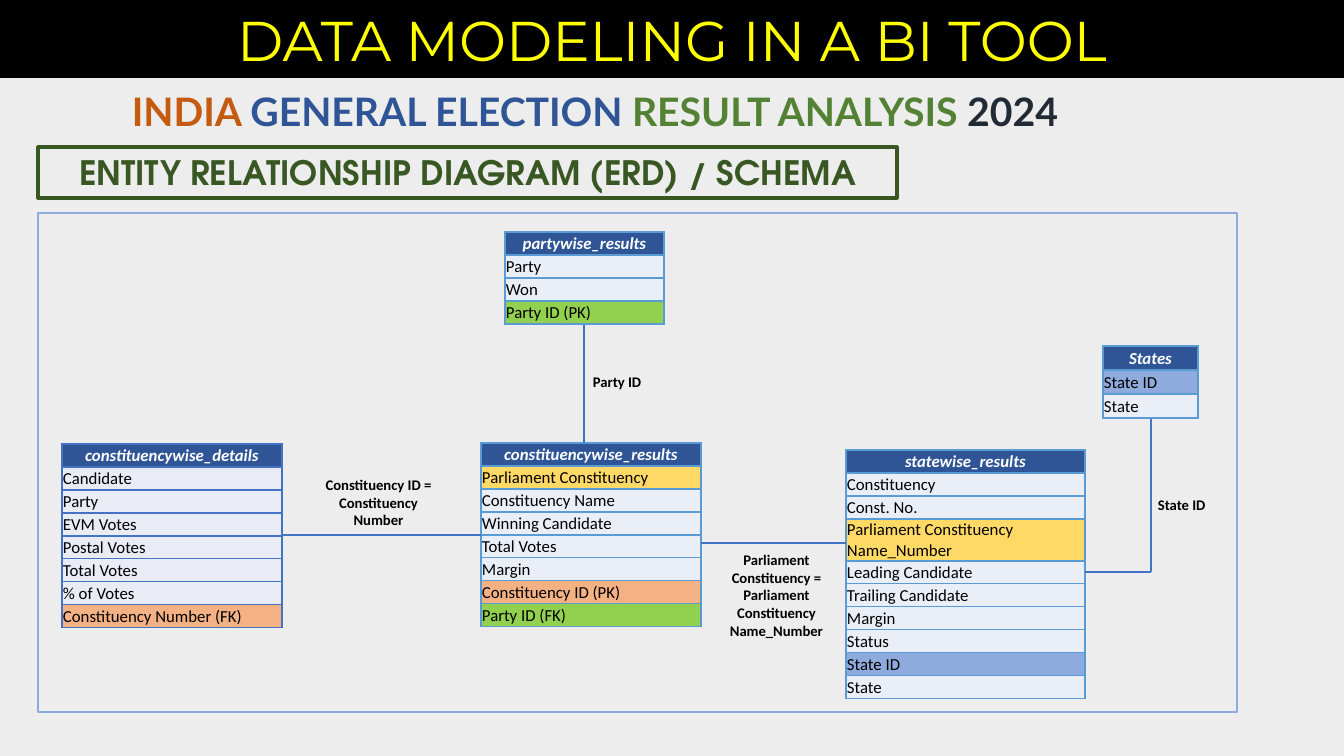
import pptx
import pptx.util
import pptx.dml.color
import pptx.enum.shapes
import pptx.enum.text
import pptx.oxml
import pptx.oxml.ns

SCALE = 914400 / 100.8  # EMU in one px
PAGE_WIDTH, PAGE_HEIGHT = 1344, 756
ROW = 23
COLOURS = {
    "page": "EDEDED", "black": "000000", "white": "FFFFFF", "yellow": "FFFF00",
    "header": "2F5597", "plain": "EAEFF7", "pale": "E9EBF5",
    "party": "92D050", "constituency": "F4B183", "parliament": "FFD966", "state": "8FAADC",
    "link": "4472C4", "border": "5B9BD5", "heading": "385723",
    "orange": "C55A11", "green": "548235", "navy": "222A35",
}
ALIGN = pptx.enum.text.PP_ALIGN
ANCHOR = pptx.enum.text.MSO_ANCHOR

# name, left, top, width, row height, border, plain fill, fields with an optional key colour
ENTITIES = [
    ("constituencywise_details", 24, 231, 220, ROW, "link", "pale", [
        ("Candidate", None), ("Party", None), ("EVM Votes", None), ("Postal Votes", None),
        ("Total Votes", None), ("% of Votes", None),
        ("Constituency Number (FK)", "constituency")]),
    ("constituencywise_results", 443, 230, 220, ROW, "border", "plain", [
        ("Parliament Constituency", "parliament"), ("Constituency Name", None),
        ("Winning Candidate", None), ("Total Votes", None), ("Margin", None),
        ("Constituency ID (PK)", "constituency"), ("Party ID (FK)", "party")]),
    ("partywise_results", 467, 19, 159, ROW, "border", "plain", [
        ("Party", None), ("Won", None), ("Party ID (PK)", "party")]),
    ("States", 1065, 133, 95, 24, "border", "plain", [
        ("State ID", "state"), ("State", None)]),
    ("statewise_results", 808, 237, 239, ROW, "border", "plain", [
        ("Constituency", None), ("Const. No.", None),
        ("Parliament Constituency Name_Number", "parliament"), ("Leading Candidate", None),
        ("Trailing Candidate", None), ("Margin", None), ("Status", None),
        ("State ID", "state"), ("State", None)]),
]
TALL_ROWS = {"Parliament Constituency Name_Number": 42}
LINKS = [(546, 112, 546, 230), (244, 322, 443, 322), (663, 330, 808, 330),
         (1047, 359, 1113, 359), (1113, 206, 1113, 359)]
LABELS = [
    ("Constituency ID =\vConstituency Number", (276, 258, 129, 64), ALIGN.CENTER),
    ("State ID", (1110, 278, 72, 29), ALIGN.LEFT),
    ("Parliament Constituency =\vParliament Constituency Name_Number",
     (676, 333, 125, 117), ALIGN.CENTER),
    ("Party ID", (545, 155, 72, 29), ALIGN.LEFT),
]


def px(length):
    return pptx.util.Emu(round(length * SCALE))


def place(box):
    return [px(length) for length in box]


def colour(name):
    return pptx.dml.color.RGBColor.from_string(COLOURS[name])


def write(frame, spans, *, size, font="Calibri", align=ALIGN.LEFT, anchor=ANCHOR.TOP,
          bold=False, italic=False, wrap=True):
    """Fill a text frame with one paragraph of (text, colour name) spans."""
    frame.word_wrap = wrap
    frame.vertical_anchor = anchor
    para = frame.paragraphs[0]
    para.alignment = align
    for text, colour_name in spans:
        for index, line in enumerate(text.split("\v")):
            if index:
                para.add_line_break()
            span = para.add_run()
            span.text = line
            span.font.name = font
            span.font.size = pptx.util.Pt(size)
            span.font.bold = bold
            span.font.italic = italic
            span.font.color.rgb = colour(colour_name)


def add_outline(page, box, line, weight):
    shape = page.shapes.add_shape(pptx.enum.shapes.MSO_SHAPE.RECTANGLE, *place(box))
    shape.shadow.inherit = False
    shape.fill.background()
    shape.line.color.rgb = colour(line)
    shape.line.width = pptx.util.Pt(weight)
    return shape


def add_banner(page, box):
    title = page.shapes.title
    title.left, title.top, title.width, title.height = place(box)
    title.fill.solid()
    title.fill.fore_color.rgb = colour("black")
    frame = title.text_frame
    frame.auto_size = pptx.enum.text.MSO_AUTO_SIZE.NONE
    frame.margin_top = frame.margin_bottom = 0
    write(frame, [("DATA MODELING IN A BI TOOL", "yellow")], size=40, font="Montserrat",
          align=ALIGN.CENTER, anchor=ANCHOR.MIDDLE)


def add_subtitle(page, box):
    text_box = page.shapes.add_textbox(*place(box))
    write(text_box.text_frame,
          [("INDIA ", "orange"), ("GENERAL ELECTION ", "header"),
           ("RESULT ANALYSIS ", "green"), ("2024", "navy")],
          size=28, font="Lato", bold=True, wrap=False)


def add_heading(page, box):
    shape = add_outline(page, box, "heading", 2.25)
    write(shape.text_frame, [("ENTITY RELATIONSHIP DIAGRAM (ERD) / SCHEMA", "heading")],
          size=24, font="TeX Gyre Adventor", align=ALIGN.CENTER, anchor=ANCHOR.MIDDLE, bold=True)


def add_borders(cell, border):
    properties = cell._tc.get_or_add_tcPr()
    for index, side in enumerate(("lnL", "lnR", "lnT", "lnB")):
        properties.insert(index, pptx.oxml.parse_xml(
            f'<a:{side} {pptx.oxml.ns.nsdecls("a")} w="12700"><a:solidFill>'
            f'<a:srgbClr val="{COLOURS[border]}"/></a:solidFill></a:{side}>'))


def add_entity(page, box, row_height, border, plain, name, fields):
    left, top, width = box
    heights = [row_height] + [TALL_ROWS.get(field, row_height) for field, _ in fields]
    table = page.shapes.add_table(
        len(heights), 1, *place((left, top, width, sum(heights)))).table
    table.horz_banding = False
    rows = [(name, "header")] + fields
    for index, (text, key) in enumerate(rows):
        is_header = index == 0
        table.rows[index].height = px(heights[index])
        cell = table.cell(index, 0)
        cell.margin_left = cell.margin_right = cell.margin_top = px(1)
        cell.margin_bottom = 0
        cell.vertical_anchor = ANCHOR.MIDDLE
        cell.fill.solid()
        cell.fill.fore_color.rgb = colour(key or plain)
        add_borders(cell, border)
        write(cell.text_frame, [(text, "white" if is_header else "black")], size=12,
              align=ALIGN.CENTER if is_header else ALIGN.LEFT, anchor=ANCHOR.MIDDLE,
              bold=is_header, italic=is_header)


def add_link(page, ends):
    line = page.shapes.add_connector(pptx.enum.shapes.MSO_CONNECTOR.STRAIGHT, *place(ends))
    line.line.color.rgb = colour("link")
    line.line.width = pptx.util.Pt(1.5)
    line._element.spPr.append(
        pptx.oxml.parse_xml(f'<a:effectLst {pptx.oxml.ns.nsdecls("a")}/>'))


def add_diagram(page, box):
    left, top = box[:2]
    add_outline(page, box, "state", 1)
    # Entity tables
    for name, x, y, width, row_height, border, plain, fields in ENTITIES:
        add_entity(page, (left + x, top + y, width), row_height, border, plain, name, fields)
    # Relationships
    for x1, y1, x2, y2 in LINKS:
        add_link(page, (left + x1, top + y1, left + x2, top + y2))
    # Relationship labels
    for text, (x, y, width, height), align in LABELS:
        label = page.shapes.add_textbox(*place((left + x, top + y, width, height)))
        write(label.text_frame, [(text, "black")], size=10.5, align=align, bold=True)


def main():
    deck = pptx.Presentation()
    deck.slide_width, deck.slide_height = px(PAGE_WIDTH), px(PAGE_HEIGHT)
    page = deck.slides.add_slide(deck.slide_layouts[5])
    page.background.fill.solid()
    page.background.fill.fore_color.rgb = colour("page")
    add_banner(page, (0, 0, PAGE_WIDTH, 78))
    add_subtitle(page, (122, 82, 1153, 57))
    add_heading(page, (38, 147, 859, 51))
    add_diagram(page, (38, 213, 1199, 499))
    deck.save("out.pptx")


if __name__ == "__main__":
    main()
